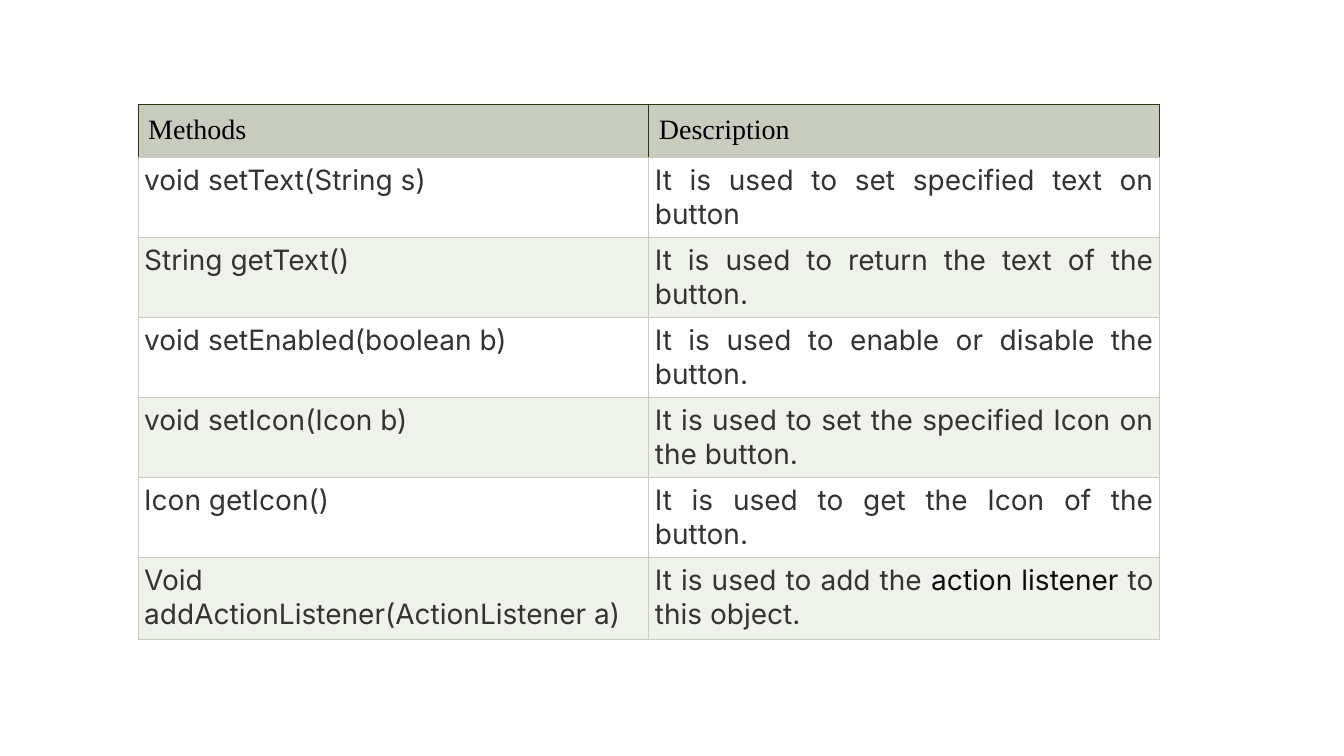
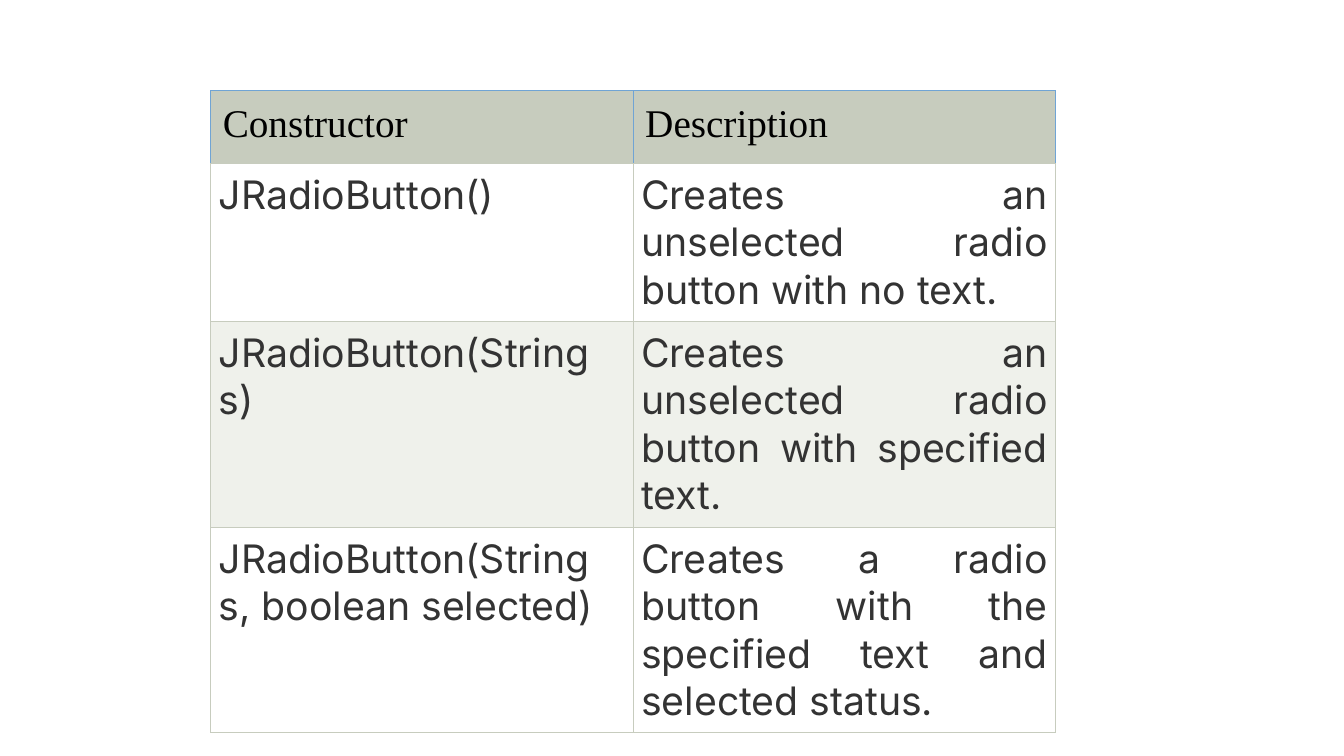
from dataclasses import dataclass

from lxml.etree import SubElement
from pptx import Presentation
from pptx.dml.color import RGBColor
from pptx.enum.text import PP_ALIGN as Align
from pptx.oxml.ns import qn
from pptx.util import Inches, Pt

SAGE = RGBColor(0xC7, 0xCC, 0xBE)
PALE_SAGE = RGBColor(0xEF, 0xF1, 0xEB)
WHITE = RGBColor(0xFF, 0xFF, 0xFF)
BLACK = RGBColor(0x00, 0x00, 0x00)
NEAR_BLACK = RGBColor(0x0D, 0x0D, 0x0D)
CHARCOAL = RGBColor(0x33, 0x33, 0x33)
OLIVE = RGBColor(0x28, 0x38, 0x09)
BLUE = RGBColor(0x70, 0xA4, 0xD4)

HEADER_FONT = "Times New Roman"
BODY_FONT = "Inter"
SIDES = ("L", "R", "T", "B")


@dataclass
class TableStyle:
    size: int
    header_inset: float
    body_inset: float
    header_border: RGBColor


METHODS_STYLE = TableStyle(20, 0.1, 0.06, OLIVE)
CONSTRUCTORS_STYLE = TableStyle(28, 0.12, 0.08, BLUE)

METHODS = [
    ("Methods", "Description"),
    ("void setText(String s)", "It is used to set specified text on button"),
    ("String getText()", "It is used to return the text of the button."),
    ("void setEnabled(boolean b)", "It is used to enable or disable the button."),
    ("void setIcon(Icon b)", "It is used to set the specified Icon on the button."),
    ("Icon getIcon()", "It is used to get the Icon of the button."),
    (
        "Void addActionListener(ActionListener a)",
        [
            ("It is used to add the ", CHARCOAL),
            ("action listener", NEAR_BLACK),
            (" to this object.", CHARCOAL),
        ],
    ),
]

CONSTRUCTORS = [
    ("Constructor", "Description"),
    ("JRadioButton()", "Creates an unselected radio button with no text."),
    ("JRadioButton(String s)", "Creates an unselected radio button with specified text."),
    (
        "JRadioButton(String s, boolean selected)",
        "Creates a radio button with the specified text and selected status.",
    ),
]


def set_borders(cell, colors):
    properties = cell._tc.get_or_add_tcPr()
    for position, (side, color) in enumerate(zip(SIDES, colors)):
        line = SubElement(properties, qn(f"a:ln{side}"), w=str(Pt(0.75)))
        fill = SubElement(line, qn("a:solidFill"))
        SubElement(fill, qn("a:srgbClr"), val=str(color))
        properties.insert(position, line)


def write_cell(cell, content, style, row):
    is_header = row == 0
    inset = Inches(style.header_inset if is_header else style.body_inset)
    cell.margin_left = cell.margin_right = inset
    cell.margin_top = cell.margin_bottom = inset
    cell.fill.solid()
    if is_header:
        cell.fill.fore_color.rgb = SAGE
        set_borders(cell, [style.header_border] * 3 + [SAGE])
    else:
        cell.fill.fore_color.rgb = WHITE if row % 2 else PALE_SAGE
        set_borders(cell, [SAGE] * 4)
    para = cell.text_frame.paragraphs[0]
    para.alignment = Align.LEFT if is_header else Align.JUSTIFY
    text_color = BLACK if is_header else CHARCOAL
    spans = [(content, text_color)] if isinstance(content, str) else content
    for text, color in spans:
        span = para.add_run()
        span.text = text
        span.font.size = Pt(style.size)
        span.font.name = HEADER_FONT if is_header else BODY_FONT
        span.font.color.rgb = color


def add_reference_table(page, left, top, width, row_heights, rows, style):
    frame = page.shapes.add_table(
        len(rows), len(rows[0]), Inches(left), Inches(top),
        Inches(width), Inches(sum(row_heights)),
    )
    table = frame.table
    for row, (height, contents) in enumerate(zip(row_heights, rows)):
        table.rows[row].height = Inches(height)
        for column, content in enumerate(contents):
            write_cell(table.cell(row, column), content, style, row)


def add_page(deck):
    page = deck.slides.add_slide(deck.slide_layouts[6])
    page.background.fill.solid()
    page.background.fill.fore_color.rgb = WHITE
    return page


def main():
    deck = Presentation()
    deck.slide_width, deck.slide_height = Inches(13.33), Inches(7.5)
    add_reference_table(
        add_page(deck), 1.37, 1.04, 10.13,
        [0.52] + [0.79] * 5 + [0.82], METHODS, METHODS_STYLE,
    )
    add_reference_table(
        add_page(deck), 2.09, 0.9, 8.38,
        [0.72, 1.57, 2.03, 2.03], CONSTRUCTORS, CONSTRUCTORS_STYLE,
    )
    deck.save("out.pptx")


if __name__ == "__main__":
    main()
